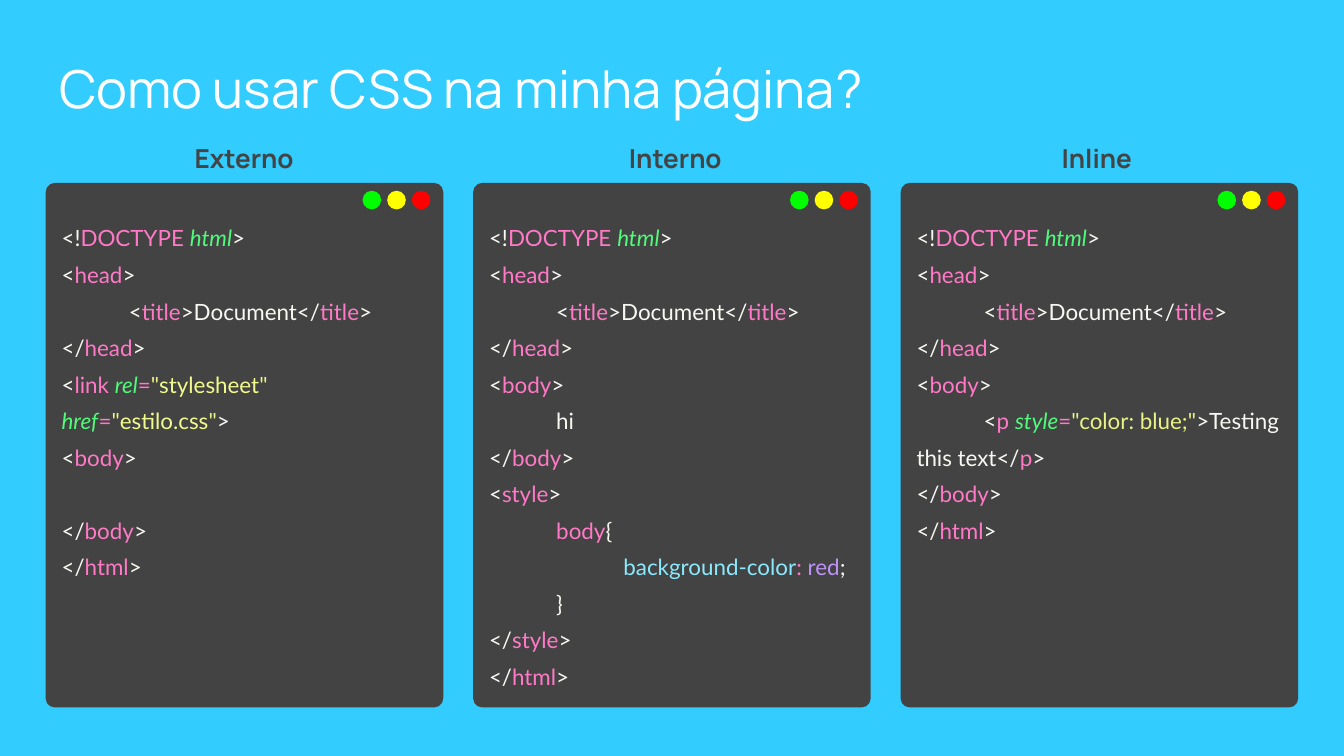
from pptx import Presentation
from pptx.dml.color import RGBColor
from pptx.enum.shapes import MSO_SHAPE
from pptx.enum.text import MSO_ANCHOR, PP_ALIGN
from pptx.util import Pt

# Syntax colours, keyed by the letter that opens each code piece
COLORS = {"w": "F8F8F2", "p": "FF79C6", "g": "50FA7B", "q": "E9F284",
          "y": "F1FA8C", "c": "8BE9FD", "v": "BD93F9"}

# Code lines: (indent level, pieces split by "|")
HEAD = [
    (0, "w<!|pDOCTYPE |ghtml|w>"),
    (0, "w<|phead|w>"),
    (1, "w<|ptitle|w>Document</|ptitle|w>"),
    (0, "w</|phead|w>"),
]
BODY_OPEN = (0, "w<|pbody|w>")
BODY_CLOSE = (0, "w</|pbody|w>")
HTML_CLOSE = (0, "w</|phtml|w>")

# Panels: heading, heading left, heading width, code
PANELS = [
    ("Externo", 97.2, 67.7, HEAD + [
        (0, 'w<|plink |grel|p=|q"|ystylesheet|q" |ghref|p=|q"|yestilo.css|q"|w>'),
        BODY_OPEN,
        (0, "w  "),
        BODY_CLOSE, HTML_CLOSE]),
    ("Interno", 329.8, 67.7, HEAD + [
        BODY_OPEN,
        (1, "whi"),
        BODY_CLOSE,
        (0, "w<|pstyle|w>"),
        (1, "pbody|w{"),
        (2, "cbackground-color|p: |vred|w;"),
        (1, "w}"),
        (0, "w</|pstyle|w>"),
        HTML_CLOSE]),
    ("Inline", 561.6, 56.2, HEAD + [
        BODY_OPEN,
        (1, 'w<|pp |gstyle|p=|q"color: blue;"|w>Testing this text</|pp|w>'),
        BODY_CLOSE, HTML_CLOSE]),
]


def rgb(color):
    return RGBColor.from_string(color)


def add_filled(kind, left, top, width, height, color):
    sp = s.shapes.add_shape(kind, Pt(left), Pt(top), Pt(width), Pt(height))
    sp.shadow.inherit = False
    sp.fill.solid()
    sp.fill.fore_color.rgb = rgb(color)
    sp.line.fill.background()
    return sp


prs = Presentation()
prs.slide_width, prs.slide_height = Pt(720), Pt(405)
s = prs.slides.add_slide(prs.slide_layouts[5])
s.background.fill.solid()
s.background.fill.fore_color.rgb = rgb("33CCFF")

# Title
title = s.shapes.title
title.left, title.top, title.width, title.height = Pt(24.5), Pt(23), Pt(671), Pt(45.4)
tf = title.text_frame
tf.margin_left = tf.margin_right = tf.margin_top = tf.margin_bottom = Pt(7.2)
tf.vertical_anchor = MSO_ANCHOR.TOP
tf.text = "Como usar CSS na minha página?"
p = tf.paragraphs[0]
p.alignment = PP_ALIGN.LEFT
p.font.name, p.font.size = "Manrope", Pt(28)
p.font.color.rgb = rgb("FFFFFF")

for i, (heading, heading_left, heading_width, code) in enumerate(PANELS):
    left = 24.5 + 229 * i

    # Editor window
    window = add_filled(MSO_SHAPE.ROUNDED_RECTANGLE, left, 98, 213, 281, "434343")
    window.adjustments[0] = 0.023

    # Code
    tb = s.shapes.add_textbox(Pt(left + 1.4), Pt(108), Pt(211.6), Pt(252))
    tf = tb.text_frame
    tf.word_wrap = True
    tf.margin_left = tf.margin_right = tf.margin_top = tf.margin_bottom = Pt(7.2)
    for n, (level, line) in enumerate(code):
        p = tf.add_paragraph() if n else tf.paragraphs[0]
        p.line_spacing = 1.36
        if level:
            pPr = p._p.get_or_add_pPr()
            pPr.set("marL", str(Pt(36 * (level - 1))))
            pPr.set("indent", str(Pt(36)))
        p.font.name, p.font.size = "Lato", Pt(12)
        for piece in line.split("|"):
            r = p.add_run()
            r.text = piece[1:]
            r.font.color.rgb = rgb(COLORS[piece[0]])
            if piece[0] == "g":
                r.font.italic = True

    # Window buttons
    for n, color in enumerate(["00FF00", "FFFF00", "FF0000"]):
        add_filled(MSO_SHAPE.OVAL, left + 169.7 + 13.2 * n, 102.2, 10, 10, color)

    # Heading
    tb = s.shapes.add_textbox(Pt(heading_left), Pt(69), Pt(heading_width), Pt(39))
    tf = tb.text_frame
    tf.word_wrap = False
    tf.margin_left = tf.margin_right = tf.margin_top = tf.margin_bottom = Pt(7.2)
    tf.text = heading
    p = tf.paragraphs[0]
    p.font.name, p.font.size, p.font.bold = "Manrope", Pt(14), True
    p.font.color.rgb = rgb("444444")

prs.save("out.pptx")
